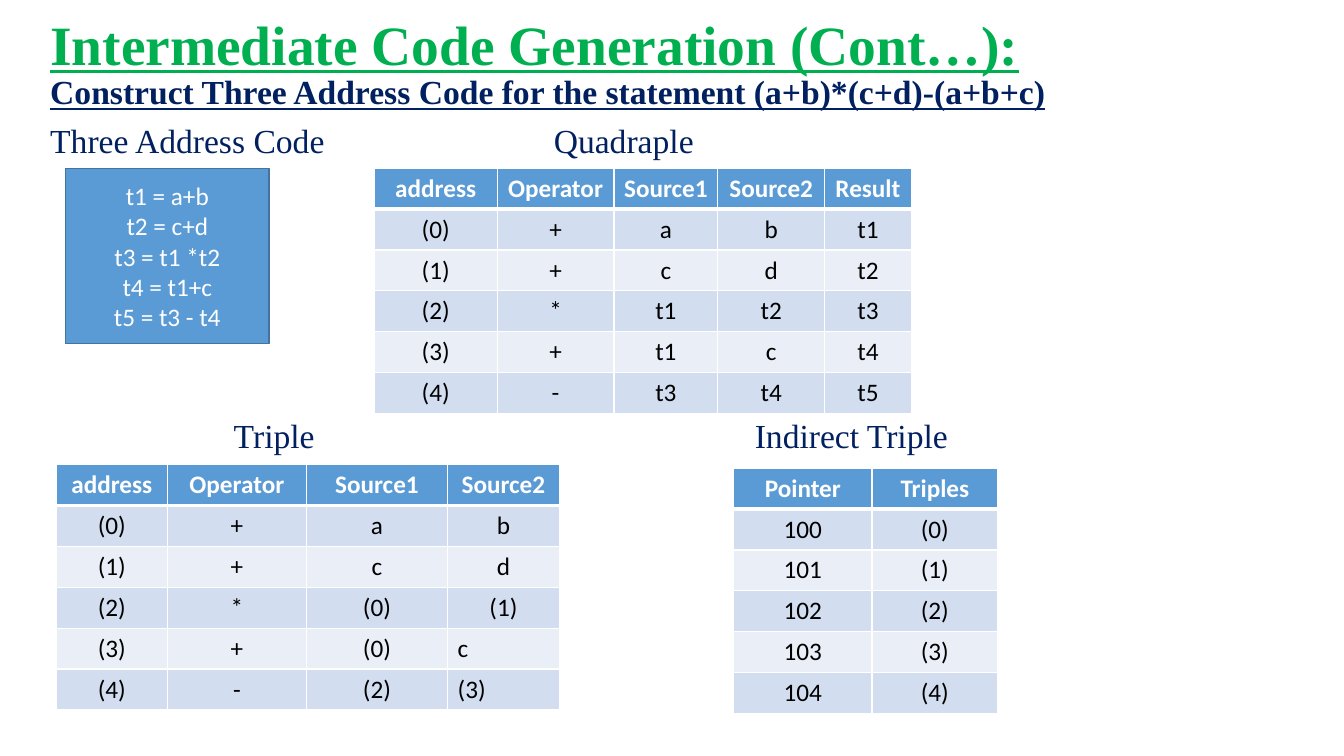
from dataclasses import dataclass

from lxml.etree import SubElement
from pptx import Presentation
from pptx.dml.color import RGBColor
from pptx.enum.shapes import MSO_SHAPE
from pptx.enum.text import MSO_ANCHOR, PP_ALIGN
from pptx.oxml.ns import qn
from pptx.slide import Slide
from pptx.table import _Cell
from pptx.text.text import _Paragraph
from pptx.util import Pt


@dataclass(frozen=True)
class Theme:
    title_color: str = "00B050"
    heading_color: str = "002060"
    accent: str = "5B9BD5"
    accent_line: str = "43739E"
    dark_band: str = "D2DEEF"
    light_band: str = "EAEFF7"
    light: str = "FFFFFF"
    dark: str = "000000"
    serif: str = "Times New Roman"
    sans: str = "Calibri"
    title_size: float = 39.6
    heading_size: float = 24
    body_size: float = 18
    thin: float = 1
    thick: float = 3


THEME = Theme()


@dataclass(frozen=True)
class Heading:
    text: str
    left: float
    top: float
    width: float
    height: float = 32
    size: float = THEME.heading_size
    color: str = THEME.heading_color
    strong: bool = False


@dataclass(frozen=True)
class CodeTable:
    left: float
    top: float
    widths: tuple[float, ...]
    rows: tuple[str, ...]
    left_aligned: tuple[tuple[int, int], ...] = ()


ROW_HEIGHT = 29.2
UPPER_LABEL_TOP = 86
LOWER_LABEL_TOP = 296.7
CODE = ("t1 = a+b", "t2 = c+d", "t3 = t1 *t2", "t4 = t1+c", "t5 = t3 - t4")

HEADINGS = (
    Heading("Intermediate Code Generation (Cont…):", 28.8, 13.7, 865.4, 41,
            THEME.title_size, THEME.title_color, True),
    Heading("Construct Three Address Code for the statement (a+b)*(c+d)-(a+b+c)",
            28.8, 51.1, 895, strong=True),
    Heading("Three Address Code", 28.8, UPPER_LABEL_TOP, 230),
    Heading("Quadraple", 388.5, UPPER_LABEL_TOP, 130),
    Heading("Triple", 159.9, LOWER_LABEL_TOP, 100),
    Heading("Indirect Triple", 532.1, LOWER_LABEL_TOP, 180),
)

TABLES = (
    CodeTable(267.3, 120.2, (87.8, 83.5, 74.2, 76.3, 61.9), (
        "address Operator Source1 Source2 Result",
        "(0) + a b t1",
        "(1) + c d t2",
        "(2) * t1 t2 t3",
        "(3) + t1 c t4",
        "(4) - t3 t4 t5",
    )),
    CodeTable(40.3, 331.9, (79.2, 99.4, 100.8, 79.9), (
        "address Operator Source1 Source2",
        "(0) + a b",
        "(1) + c d",
        "(2) * (0) (1)",
        "(3) + (0) c",
        "(4) - (2) (3)",
    ), ((4, 3), (5, 3))),
    CodeTable(524.2, 334.4, (98.6, 90), (
        "Pointer Triples",
        "100 (0)",
        "101 (1)",
        "102 (2)",
        "103 (3)",
        "104 (4)",
    )),
)


def format_paragraph(para: _Paragraph, font: str, size: float, color: str,
                     bold: bool = False, underline: bool = False) -> None:
    for span in para.runs:
        span.font.name = font
        span.font.size = Pt(size)
        span.font.bold = bold
        span.font.underline = underline
        span.font.color.rgb = RGBColor.from_string(color)


def add_heading(page: Slide, heading: Heading) -> None:
    box = page.shapes.add_textbox(Pt(heading.left), Pt(heading.top),
                                  Pt(heading.width), Pt(heading.height))
    frame = box.text_frame
    frame.word_wrap = True
    frame.vertical_anchor = MSO_ANCHOR.MIDDLE
    frame.text = heading.text
    para = frame.paragraphs[0]
    para.line_spacing = 0.9
    format_paragraph(para, THEME.serif, heading.size, heading.color,
                     heading.strong, heading.strong)


def add_code_box(page: Slide) -> None:
    box = page.shapes.add_shape(MSO_SHAPE.RECTANGLE, Pt(46.8), Pt(120.2),
                                Pt(145.4), Pt(125.3))
    box.shadow.inherit = False
    box.fill.solid()
    box.fill.fore_color.rgb = RGBColor.from_string(THEME.accent)
    box.line.color.rgb = RGBColor.from_string(THEME.accent_line)
    box.line.width = Pt(THEME.thin)
    frame = box.text_frame
    frame.word_wrap = True
    frame.vertical_anchor = MSO_ANCHOR.MIDDLE
    frame.text = "\n".join(CODE)
    for para in frame.paragraphs:
        para.alignment = PP_ALIGN.CENTER
        format_paragraph(para, THEME.sans, THEME.body_size, THEME.light)


def add_borders(cell: _Cell, row: int) -> None:
    top = THEME.thick if row == 1 else THEME.thin
    bottom = THEME.thick if row == 0 else THEME.thin
    sides = {"a:lnL": THEME.thin, "a:lnR": THEME.thin, "a:lnT": top, "a:lnB": bottom}
    properties = cell._tc.get_or_add_tcPr()
    for tag, width in sides.items():
        line = SubElement(properties, qn(tag), w=str(Pt(width)))
        fill = SubElement(line, qn("a:solidFill"))
        SubElement(fill, qn("a:srgbClr"), val=THEME.light)


def fill_cell(cell: _Cell, text: str, row: int, alignment: PP_ALIGN) -> None:
    header = row == 0
    band = THEME.dark_band if row % 2 else THEME.light_band
    add_borders(cell, row)
    cell.fill.solid()
    cell.fill.fore_color.rgb = RGBColor.from_string(THEME.accent if header else band)
    cell.text = text
    para = cell.text_frame.paragraphs[0]
    para.alignment = alignment
    format_paragraph(para, THEME.sans, THEME.body_size,
                     THEME.light if header else THEME.dark, header)


def add_code_table(page: Slide, code_table: CodeTable) -> None:
    count = len(code_table.rows)
    table = page.shapes.add_table(
        count, len(code_table.widths), Pt(code_table.left), Pt(code_table.top),
        Pt(sum(code_table.widths)), Pt(ROW_HEIGHT * count)).table
    table.horz_banding = False
    for column, width in zip(table.columns, code_table.widths):
        column.width = Pt(width)
    for row, texts in enumerate(code_table.rows):
        table.rows[row].height = Pt(ROW_HEIGHT)
        for column, text in enumerate(texts.split()):
            aligned_left = (row, column) in code_table.left_aligned
            alignment = PP_ALIGN.LEFT if aligned_left else PP_ALIGN.CENTER
            fill_cell(table.cell(row, column), text, row, alignment)


def main() -> None:
    deck = Presentation()
    deck.slide_width = Pt(960)
    deck.slide_height = Pt(540)
    page = deck.slides.add_slide(deck.slide_layouts[6])
    for heading in HEADINGS:
        add_heading(page, heading)
    add_code_box(page)
    for code_table in TABLES:
        add_code_table(page, code_table)
    deck.save("out.pptx")


if __name__ == "__main__":
    main()
